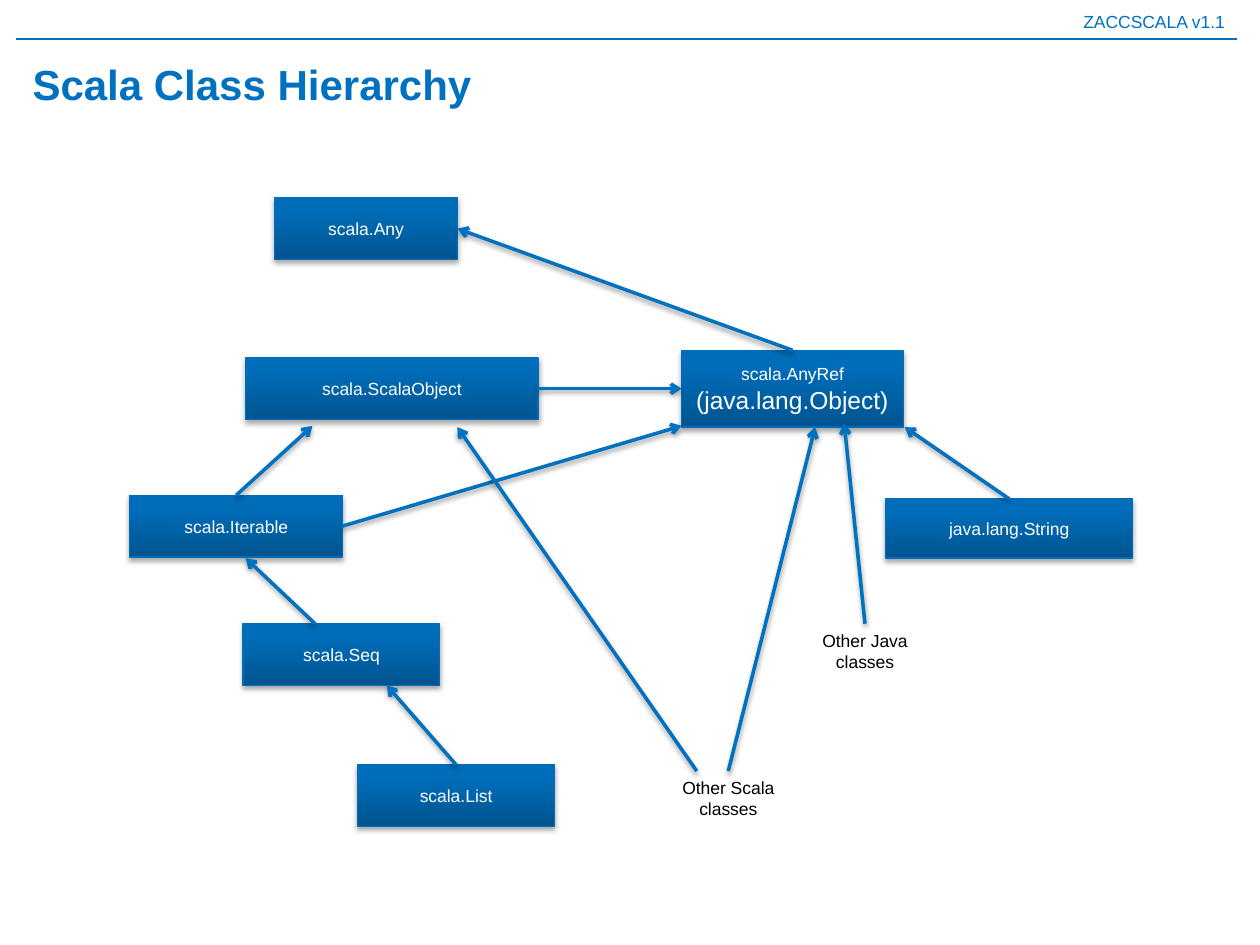
"""Build the Scala class hierarchy slide."""
from copy import deepcopy

from pptx import Presentation
from pptx.dml.color import RGBColor
from pptx.enum.shapes import MSO_CONNECTOR as Connector, MSO_SHAPE as Shape
from pptx.enum.text import MSO_ANCHOR as Anchor, PP_ALIGN as Align
from pptx.oxml import parse_xml
from pptx.oxml.ns import nsdecls, qn
from pptx.util import Inches, Pt

BLUE = RGBColor(0x00, 0x70, 0xC0)
EDGE = RGBColor(0x00, 0x6E, 0xBC)
WHITE = RGBColor(0xFF, 0xFF, 0xFF)
BLACK = RGBColor(0x00, 0x00, 0x00)
GRADIENT = (
    (0, RGBColor(0x00, 0x54, 0x8F)),
    (0.8, RGBColor(0x00, 0x6D, 0xBA)),
    (1, RGBColor(0x00, 0x6D, 0xBB)),
)
TOP, LEFT, RIGHT = 0, 1, 3


class Diagram:
    def __init__(self, page, font="Arial"):
        self.page = page
        self.font = font

    def set_text(self, shape, text, color, sizes=(10,), align=Align.CENTER, bold=False):
        frame = shape.text_frame
        frame.text = text
        for index, para in enumerate(frame.paragraphs):
            para.alignment = align
            for span in para.runs:
                span.font.name = self.font
                span.font.size = Pt(sizes[min(index, len(sizes) - 1)])
                span.font.bold = bold
                span.font.color.rgb = color
        return frame

    def shadow(self, shape, opacity=None, distance=0):
        effects = parse_xml(f"<a:effectLst {nsdecls('a')}/>")
        if opacity:
            effects.append(parse_xml(
                f'<a:outerShdw {nsdecls("a")} blurRad="{Pt(3.1)}" dist="{Pt(distance)}" '
                'dir="5400000" rotWithShape="0"><a:srgbClr val="000000">'
                f'<a:alpha val="{opacity * 1000}"/></a:srgbClr></a:outerShdw>'))
        shape._element.spPr.append(effects)

    def label(self, left, top, width, height, text, color=BLACK, wrap=False, **style):
        box = self.page.shapes.add_textbox(*map(Inches, (left, top, width, height)))
        self.set_text(box, text, color, **style).word_wrap = wrap
        return box

    def node(self, left, top, width, height, text, sizes=(10,)):
        box = self.page.shapes.add_shape(
            Shape.RECTANGLE, *map(Inches, (left, top, width, height)))
        box.fill.gradient()
        box.fill.gradient_angle = 90
        stops = box._element.spPr.find(qn("a:gradFill")).find(qn("a:gsLst"))
        stops.append(deepcopy(stops[-1]))
        for stop, (position, color) in zip(box.fill.gradient_stops, GRADIENT):
            stop.position = position
            stop.color.rgb = color
        box.line.color.rgb = EDGE
        box.line.width = Pt(0.75)
        self.shadow(box, 35, 1.8)
        frame = self.set_text(box, text, WHITE, sizes)
        frame.vertical_anchor = Anchor.MIDDLE
        return box

    def line(self, begin, end, width):
        connector = self.page.shapes.add_connector(
            Connector.STRAIGHT, *map(Inches, (*begin, *end)))
        connector.line.color.rgb = BLUE
        connector.line.width = Pt(width)
        return connector

    def arrow(self, begin, end, source=None, target=None):
        connector = self.line(begin, end, 2)
        connector.line._get_or_add_ln().append(
            parse_xml(f'<a:tailEnd {nsdecls("a")} type="arrow"/>'))
        self.shadow(connector, 38, 1.6)
        if source:
            connector.begin_connect(*source)
        if target:
            connector.end_connect(*target)


def main():
    deck = Presentation()
    deck.slide_width, deck.slide_height = Inches(10), Inches(7.5)
    diagram = Diagram(deck.slides.add_slide(deck.slide_layouts[6]))

    header = diagram.label(0, 0.04, 10, 0.27, "ZACCSCALA v1.1", BLUE, True, align=Align.RIGHT)
    header.text_frame.margin_right = Inches(0.28)
    diagram.shadow(diagram.line((0.13, 0.31), (9.82, 0.31), 0.75))
    title = diagram.label(0.16, 0.39, 9.61, 0.55, "Scala Class Hierarchy", BLUE, True,
                          sizes=(24,), align=Align.LEFT, bold=True)
    title.text_frame.vertical_anchor = Anchor.MIDDLE

    any_box = diagram.node(2.18, 1.57, 1.45, 0.49, "scala.Any")
    any_ref = diagram.node(5.41, 2.78, 1.76, 0.61,
                           "scala.AnyRef\n(java.lang.Object)", (10, 14))
    scala_object = diagram.node(1.95, 2.84, 2.32, 0.49, "scala.ScalaObject")
    string = diagram.node(7.03, 3.96, 1.96, 0.47, "java.lang.String")
    iterable = diagram.node(1.03, 3.93, 1.69, 0.49, "scala.Iterable")
    diagram.node(1.93, 4.95, 1.56, 0.49, "scala.Seq")
    list_box = diagram.node(2.84, 6.07, 1.56, 0.49, "scala.List")
    java_classes = diagram.label(6.22, 4.95, 1.29, 0.71, "Other Java\nclasses")
    scala_classes = diagram.label(5.09, 6.12, 1.38, 0.71, "Other Scala\nclasses")

    diagram.arrow((6.29, 2.78), (3.63, 1.82), (any_ref, TOP), (any_box, RIGHT))
    diagram.arrow((4.27, 3.09), (5.41, 3.09), (scala_object, RIGHT), (any_ref, LEFT))
    diagram.arrow((8.01, 3.96), (7.18, 3.39), (string, TOP))
    diagram.arrow((6.87, 4.95), (6.7, 3.36), (java_classes, TOP))
    diagram.arrow((5.78, 6.12), (6.47, 3.39), (scala_classes, TOP))
    diagram.arrow((3.62, 6.07), (3.07, 5.44), (list_box, TOP))
    diagram.arrow((2.5, 4.95), (1.95, 4.43))
    diagram.arrow((1.88, 3.93), (2.48, 3.38), (iterable, TOP))
    diagram.arrow((2.72, 4.18), (5.41, 3.38), (iterable, RIGHT))
    diagram.arrow((5.53, 6.12), (3.63, 3.39))

    deck.save("out.pptx")


if __name__ == "__main__":
    main()
